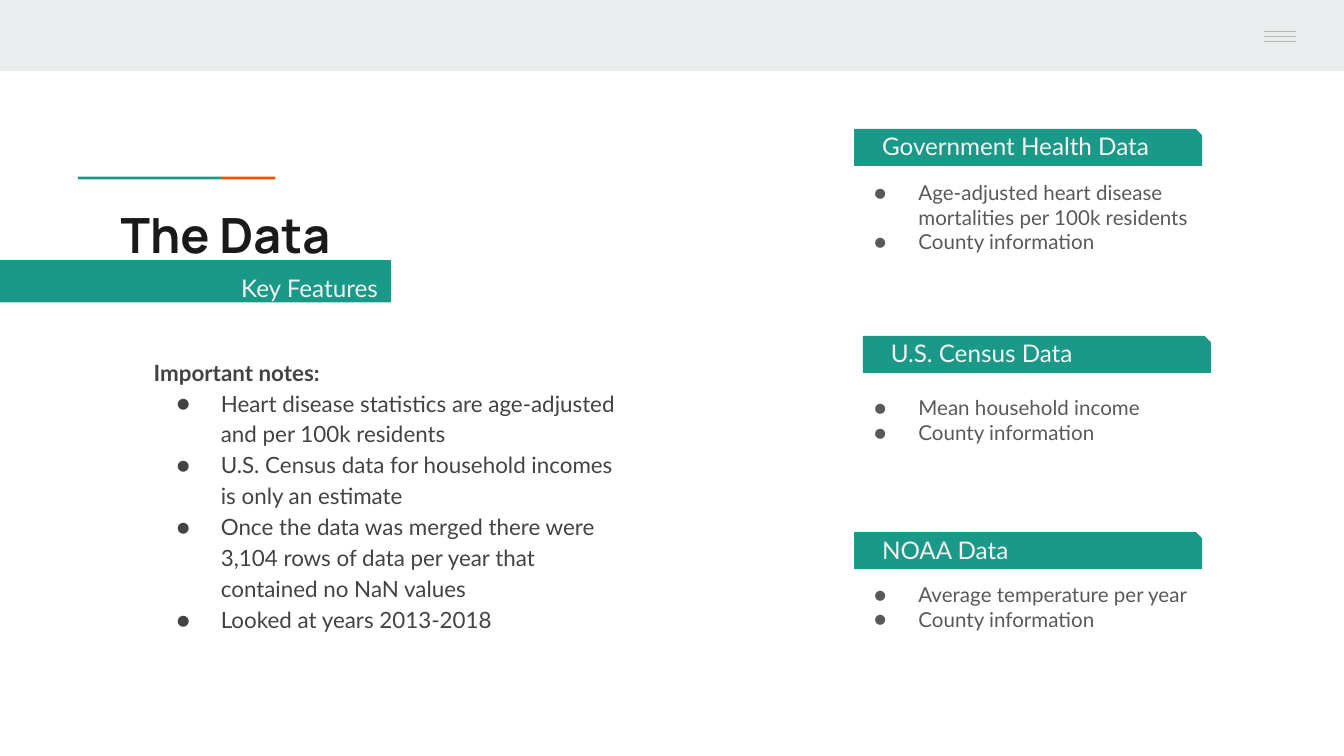
from dataclasses import dataclass

from lxml.etree import SubElement
from pptx import Presentation
from pptx.dml.color import RGBColor
from pptx.enum.shapes import MSO_CONNECTOR, MSO_SHAPE
from pptx.enum.text import MSO_ANCHOR, PP_ALIGN
from pptx.oxml.ns import qn
from pptx.util import Inches, Pt

COLORS = {
    "teal": "1A9988",
    "orange": "EB5600",
    "band": "E9EDEE",
    "menu": "B7B7B7",
    "title": "1A1A1A",
    "light": "F3F3F3",
    "notes": "434343",
    "details": "595959",
}
COLUMNS = 100
CELL = Inches(0.1)  # side of a square grid cell


@dataclass(frozen=True)
class Area:
    """A rectangle in grid columns and rows."""
    column: float
    row: float
    columns: float
    rows: float

    def lengths(self) -> list[int]:
        return [round(value * CELL)
                for value in (self.column, self.row, self.columns, self.rows)]


@dataclass(frozen=True)
class Style:
    size: float
    color: str
    font: str = "Lato"
    bold: bool = False
    bulleted: bool = False
    spacing: float = 1.0


@dataclass(frozen=True)
class Source:
    """A data source: a tag with its bullets below."""
    name: str
    column: float
    row: float
    details_row: float
    details: tuple[str, ...]


TITLE = Style(26, "title", font="Manrope", bold=True)
LABEL = Style(13, "light")
DETAIL = Style(11, "details", bulleted=True)
HEADING = Style(12, "notes", bold=True, spacing=1.15)
NOTE = Style(12, "notes", bulleted=True, spacing=1.15)

SOURCES = (
    Source("Government Health Data", 63.55, 9.6, 12.4,
           ("Age-adjusted heart disease mortalities per 100k residents",
            "County information")),
    Source("U.S. Census Data", 64.2, 25, 28.4,
           ("Mean household income", "County information")),
    Source("NOAA Data", 63.55, 39.6, 42.3,
           ("Average temperature per year", "County information")),
)
NOTES = (
    "Heart disease statistics are age-adjusted and per 100k residents",
    "U.S. Census data for household incomes is only an estimate",
    "Once the data was merged there were 3,104 rows of data per year "
    "that contained no NaN values",
    "Looked at years 2013-2018",
)


def rgb(name: str) -> RGBColor:
    return RGBColor.from_string(COLORS[name])


def add_block(page, area: Area, color: str, kind=MSO_SHAPE.RECTANGLE):
    block = page.shapes.add_shape(kind, *area.lengths())
    block.shadow.inherit = False
    block.fill.solid()
    block.fill.fore_color.rgb = rgb(color)
    block.line.fill.background()
    return block


def add_menu_line(page, row: float) -> None:
    left, top, width, _ = Area(94.05, row, 2.4, 0).lengths()
    line = page.shapes.add_connector(
        MSO_CONNECTOR.STRAIGHT, left, top, left + width, top)
    line.line.color.rgb = rgb("menu")
    line.line.width = Pt(0.75)
    SubElement(line._element.spPr, qn("a:effectLst"))


def add_bullet(para, style: Style) -> None:
    properties = para._p.get_or_add_pPr()
    properties.set("marL", str(Inches(0.5)))
    properties.set("indent", str(Inches(-0.33)))
    bullet_color = SubElement(properties, qn("a:buClr"))
    SubElement(bullet_color, qn("a:srgbClr"), val=COLORS[style.color])
    SubElement(properties, qn("a:buSzPts"), val=str(style.size * 100))
    SubElement(properties, qn("a:buFont"), typeface=style.font)
    SubElement(properties, qn("a:buChar"), char="●")


def write(box, lines: list[tuple[str, Style]], align=PP_ALIGN.LEFT) -> None:
    frame = box.text_frame
    frame.word_wrap = True
    frame.vertical_anchor = MSO_ANCHOR.TOP
    frame.margin_left = frame.margin_right = CELL
    frame.margin_top = frame.margin_bottom = CELL
    for index, (text, style) in enumerate(lines):
        para = frame.add_paragraph() if index else frame.paragraphs[0]
        para.text = text
        para.alignment = align
        para.line_spacing = style.spacing
        if style.bulleted:
            add_bullet(para, style)
        para.font.name = style.font
        para.font.size = Pt(style.size)
        para.font.bold = style.bold
        para.font.color.rgb = rgb(style.color)


def add_text(page, area: Area, lines: list[tuple[str, Style]]) -> None:
    write(page.shapes.add_textbox(*area.lengths()), lines)


def add_source(page, source: Source) -> None:
    tag = add_block(page, Area(source.column, source.row, 25.9, 2.75),
                    "teal", MSO_SHAPE.SNIP_1_RECTANGLE)
    tag.adjustments[0] = 0.17
    add_text(page, Area(source.column + 1.1, source.row - 0.8, 26.4, 4.2),
             [(source.name, LABEL)])
    add_text(page, Area(62.35, source.details_row, 31, 11.5),
             [(detail, DETAIL) for detail in source.details])


def main() -> None:
    deck = Presentation()
    deck.slide_width = COLUMNS * CELL
    deck.slide_height = deck.slide_width * 9 // 16
    page = deck.slides.add_slide(deck.slide_layouts[6])

    add_block(page, Area(0, 0, COLUMNS, 5.3), "band")
    for step in range(3):
        add_menu_line(page, 2.35 + 0.36 * step)
    add_block(page, Area(5.8, 13.15, 10.65, 0.2), "teal")
    add_block(page, Area(16.45, 13.15, 4.05, 0.2), "orange")

    add_text(page, Area(8, 14.25, 84.1, 5.9), [("The Data", TITLE)])
    for source in SOURCES:
        add_source(page, source)
    banner = add_block(page, Area(-1.9, 19.35, 31, 3.15), "teal")
    write(banner, [("Key Features", LABEL)], PP_ALIGN.RIGHT)
    add_text(page, Area(10.45, 25.4, 37.5, 22.6),
             [("Important notes:", HEADING)] + [(note, NOTE) for note in NOTES])

    deck.save("out.pptx")


if __name__ == "__main__":
    main()
